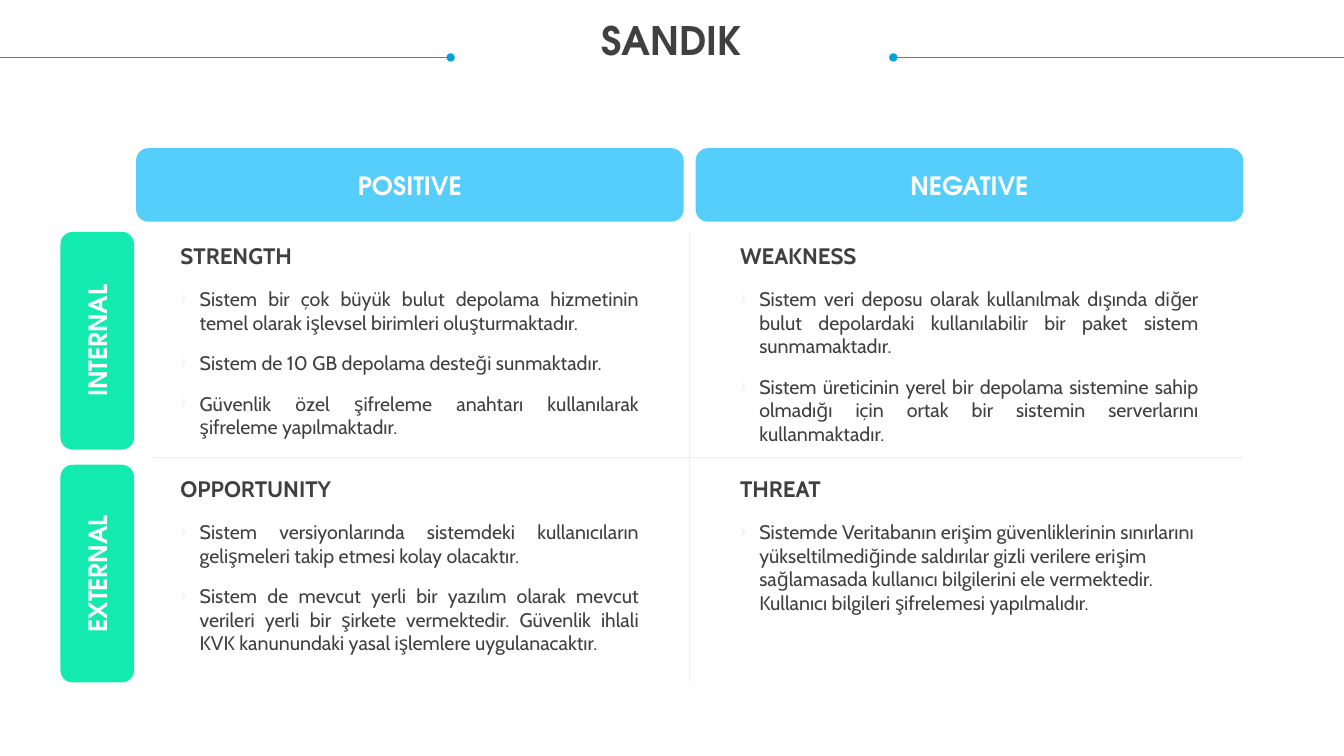
from dataclasses import dataclass

from lxml import etree
from pptx import Presentation
from pptx.dml.color import RGBColor
from pptx.enum.shapes import MSO_CONNECTOR, MSO_SHAPE
from pptx.enum.text import MSO_ANCHOR, MSO_AUTO_SIZE, PP_ALIGN
from pptx.oxml.ns import qn
from pptx.util import Inches, Pt

STRAIGHT = MSO_CONNECTOR.STRAIGHT
ROUNDED = MSO_SHAPE.ROUNDED_RECTANGLE
MIDDLE = MSO_ANCHOR.MIDDLE
FIT_SHAPE = MSO_AUTO_SIZE.SHAPE_TO_FIT_TEXT
LEFT, CENTER, JUSTIFY = PP_ALIGN.LEFT, PP_ALIGN.CENTER, PP_ALIGN.JUSTIFY


@dataclass(frozen=True)
class Theme:
    """Colours, fonts and type sizes of the slide."""
    ink: str = "404040"
    white: str = "FFFFFF"
    accent: str = "04A1DD"
    column: str = "55CEFC"
    row: str = "13EAAF"
    pale: str = "E4F4DF"
    display: str = "TeX Gyre Adventor"
    body: str = "Cabin"
    title_size: int = 28
    banner_size: int = 18
    heading_size: int = 16
    bullet_size: int = 14
    rule_width: float = 0.5


THEME = Theme()
SLIDE_WIDTH, SLIDE_HEIGHT = 13.33, 7.5
COLUMN_LEFTS, COLUMN_WIDTH = (1.35, 6.9), 5.43
ROW_TOPS, ROW_HEIGHT = (2.3, 4.61), 2.16
BANNER_TOP, BANNER_DEPTH = 1.47, 0.73
RAIL_LEFT = 0.6

COLUMNS = ("POSITIVE", "NEGATIVE")
ROWS = ("INTERNAL", "EXTERNAL")
QUADRANTS = (
    (
        ("STRENGTH", JUSTIFY, (
            "Sistem bir çok büyük bulut depolama hizmetinin temel olarak işlevsel birimleri oluşturmaktadır.",
            "Sistem de 10 GB depolama desteği sunmaktadır.",
            "Güvenlik özel şifreleme anahtarı kullanılarak şifreleme yapılmaktadır.",
        )),
        ("WEAKNESS", JUSTIFY, (
            "Sistem veri deposu olarak kullanılmak dışında diğer bulut depolardaki "
            "kullanılabilir bir paket sistem sunmamaktadır.",
            "Sistem üreticinin yerel bir depolama sistemine sahip olmadığı için "
            "ortak bir sistemin serverlarını kullanmaktadır.",
        )),
    ),
    (
        ("OPPORTUNITY", JUSTIFY, (
            "Sistem versiyonlarında sistemdeki kullanıcıların gelişmeleri takip etmesi kolay olacaktır.",
            "Sistem de mevcut yerli bir yazılım olarak mevcut verileri yerli bir şirkete vermektedir. "
            "Güvenlik ihlali KVK kanunundaki yasal işlemlere uygulanacaktır.",
        )),
        ("THREAT", LEFT, (
            "Sistemde Veritabanın erişim güvenliklerinin sınırlarını yükseltilmediğinde saldırılar "
            "gizli verilere erişim sağlamasada kullanıcı bilgilerini ele vermektedir. "
            "Kullanıcı bilgileri şifrelemesi yapılmalıdır.",
        )),
    ),
)


def style_paragraph(paragraph, font, size, colour, bold=False, align=LEFT):
    """Set the type and alignment of one paragraph."""
    paragraph.alignment = align
    paragraph.font.name = font
    paragraph.font.size = Pt(size)
    paragraph.font.bold = bold
    paragraph.font.color.rgb = RGBColor.from_string(colour)


def add_rule(slide, start, end, colour, dotted_end=False):
    """Draw a thin line, optionally ending in a dot."""
    points = [Inches(value) for value in (*start, *end)]
    rule = slide.shapes.add_connector(STRAIGHT, *points)
    rule.line.color.rgb = RGBColor.from_string(colour)
    rule.line.width = Pt(THEME.rule_width)
    if dotted_end:
        etree.SubElement(rule.line._get_or_add_ln(), qn("a:tailEnd"), type="oval")
    etree.SubElement(rule._element.spPr, qn("a:effectLst"))


def add_text_frame(slide, left, top, width, height):
    """Add a wrapping text box without margins and return its frame."""
    box = slide.shapes.add_textbox(Inches(left), Inches(top), Inches(width), Inches(height))
    frame = box.text_frame
    frame.word_wrap = True
    frame.auto_size = FIT_SHAPE
    frame.margin_left = frame.margin_right = frame.margin_top = frame.margin_bottom = 0
    return frame


def add_header(slide, left, top, width, height):
    """Place the title between two dotted rules."""
    rule_y, rule_length = top + 0.57, 4.47
    for edge, direction in ((left, 1), (left + width, -1)):
        add_rule(slide, (edge, rule_y), (edge + direction * rule_length, rule_y), THEME.accent, True)
    title = add_text_frame(slide, left + 0.25, top + 0.21, width - 0.5, height - 0.21).paragraphs[0]
    title.text = "SANDIK"
    title.line_spacing = 0.9
    style_paragraph(title, THEME.display, THEME.title_size, THEME.ink, True, CENTER)


def add_banner(slide, label, colour, left, top, width, height, upright=False):
    """Fill the given box with a rounded label, turned to read upwards if upright."""
    if upright:
        left, top = left + (width - height) / 2, top + (height - width) / 2
        width, height = height, width
    banner = slide.shapes.add_shape(ROUNDED, Inches(left), Inches(top), Inches(width), Inches(height))
    banner.rotation = 270 if upright else 0
    banner.shadow.inherit = False
    banner.fill.solid()
    banner.fill.fore_color.rgb = RGBColor.from_string(colour)
    banner.line.fill.background()
    banner.text_frame.vertical_anchor = MIDDLE
    caption = banner.text_frame.paragraphs[0]
    caption.text = label
    style_paragraph(caption, THEME.display, THEME.banner_size, THEME.white, True, CENTER)


def add_bullet(paragraph):
    """Give a paragraph a hanging pale chevron."""
    indent = Inches(0.19)
    properties = paragraph._p.get_or_add_pPr()
    properties.set("marL", str(indent))
    properties.set("indent", str(-indent))
    paragraph.space_before = Pt(12)
    colour = etree.Element(qn("a:buClr"))
    etree.SubElement(colour, qn("a:srgbClr"), val=THEME.pale)
    chevron = etree.Element(qn("a:buChar"), char="›")
    properties.find(qn("a:spcBef")).addnext(colour)
    colour.addnext(chevron)


def add_quadrant(slide, quadrant, left, top, width, height):
    """Place a heading and its bullets inside the given box."""
    name, align, points = quadrant
    inset = 0.44
    text_left, text_width = left + inset, width - 2 * inset
    heading = add_text_frame(slide, text_left, top + 0.1, text_width, 0.27).paragraphs[0]
    heading.text = name
    style_paragraph(heading, THEME.body, THEME.heading_size, THEME.ink, True)
    frame = add_text_frame(slide, text_left, top + 0.55, text_width, height - 0.65)
    for index, point in enumerate(points):
        paragraph = frame.add_paragraph() if index else frame.paragraphs[0]
        paragraph.text = point
        style_paragraph(paragraph, THEME.body, THEME.bullet_size, THEME.ink, align=align)
        add_bullet(paragraph)


def add_matrix(slide):
    """Lay out the banners, dividers and four quadrants."""
    right, bottom = COLUMN_LEFTS[1] + COLUMN_WIDTH, ROW_TOPS[1] + ROW_HEIGHT
    middle_x = (COLUMN_LEFTS[0] + right) / 2
    middle_y = (ROW_TOPS[0] + bottom) / 2
    add_rule(slide, (1.52, middle_y), (right, middle_y), THEME.pale)
    add_rule(slide, (middle_x, ROW_TOPS[0]), (middle_x, bottom), THEME.pale)
    for label, left in zip(COLUMNS, COLUMN_LEFTS):
        add_banner(slide, label, THEME.column, left, BANNER_TOP, COLUMN_WIDTH, BANNER_DEPTH)
    for label, top, quadrants in zip(ROWS, ROW_TOPS, QUADRANTS):
        add_banner(slide, label, THEME.row, RAIL_LEFT, top, BANNER_DEPTH, ROW_HEIGHT, upright=True)
        for quadrant, left in zip(quadrants, COLUMN_LEFTS):
            add_quadrant(slide, quadrant, left, top, COLUMN_WIDTH, ROW_HEIGHT)


def main():
    """Build and save the slide."""
    deck = Presentation()
    deck.slide_width, deck.slide_height = Inches(SLIDE_WIDTH), Inches(SLIDE_HEIGHT)
    slide = deck.slides.add_slide(deck.slide_layouts[6])
    add_header(slide, 0, 0, SLIDE_WIDTH, 0.63)
    add_matrix(slide)
    deck.save("out.pptx")


if __name__ == "__main__":
    main()
